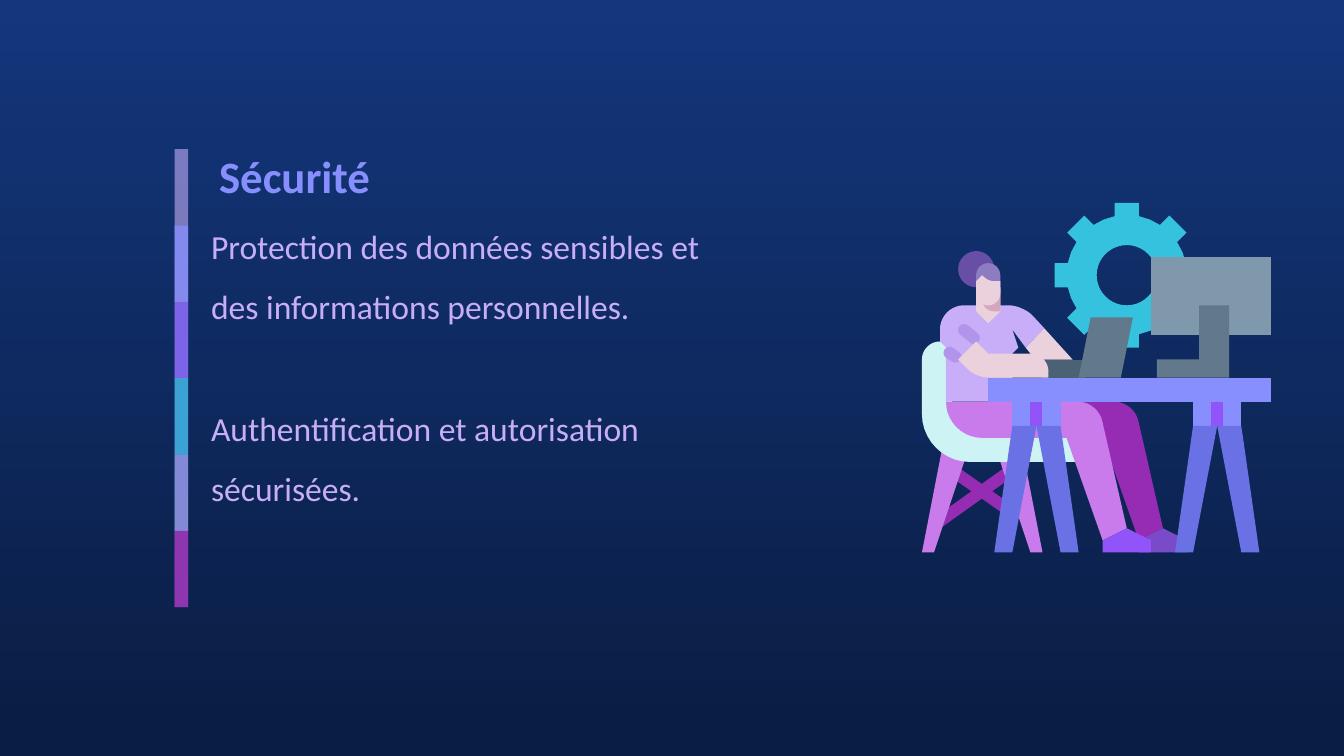
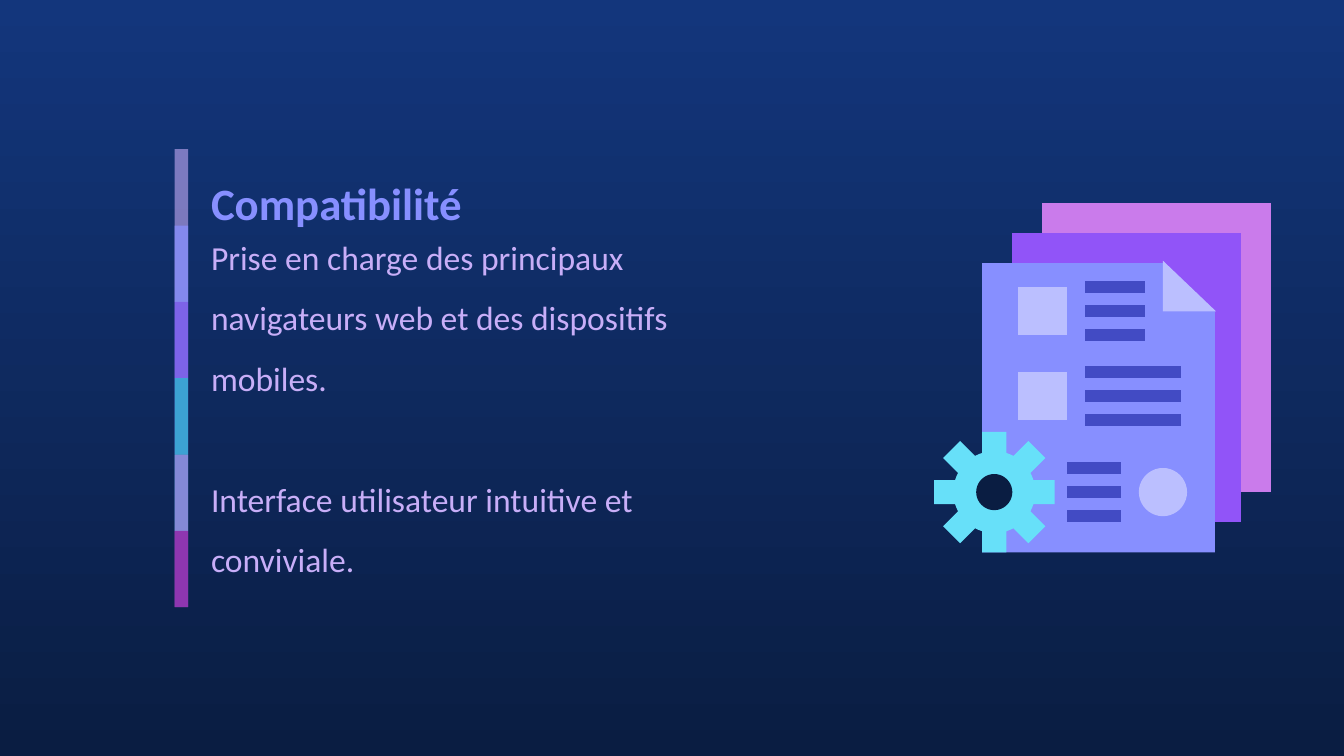
from dataclasses import dataclass
from math import cos, hypot, pi, sin, sqrt
from typing import NamedTuple

from pptx import Presentation
from pptx.dml.color import RGBColor
from pptx.enum.shapes import MSO_SHAPE as SHAPE
from pptx.enum.text import MSO_ANCHOR as ANCHOR, MSO_AUTO_SIZE as AUTO, PP_ALIGN as ALIGN
from pptx.oxml.ns import qn
from pptx.oxml.xmlchemy import OxmlElement
from pptx.util import Inches, Pt

rgb = RGBColor.from_string
NAVY, ROYAL, INDIGO, BLUE = rgb("0A1D42"), rgb("13367C"), rgb("424BC4"), rgb("6971E5")
LILAC, PERIWINKLE, PALE = rgb("C8AEF8"), rgb("878FFF"), rgb("BBBFFF")
VIOLET, PURPLE, ORCHID = rgb("9154F8"), rgb("972CB4"), rgb("CA7BEB")
GRAPE, MAUVE = rgb("794BC8"), rgb("B394EB")
TEAL, CYAN, ICE = rgb("35C2DF"), rgb("67E0F9"), rgb("CEF3F5")
SKIN, SKIN_SHADE, HAIR, HAIR_LIGHT = rgb("EAD1DC"), rgb("D5A6BD"), rgb("674EA7"), rgb("8E7CC3")
SLATE, STEEL, SILVER = rgb("4B6275"), rgb("62798C"), rgb("8098AB")

WIDTH = Inches(10)
HEIGHT = WIDTH * 9 // 16
COL = WIDTH // 100  # the slide is 100 square columns wide
ART_X, ART_Y = 68.6 * COL, 15.1 * COL
CELL = 26 * COL / 29  # an illustration fills 29 by 29 cells
CURVE_STEPS = 10

# Corners in cells; a third number is the distance at which a corner is rounded off.
Outline = list[tuple[float, ...]]


class Box(NamedTuple):
    """Left, top, width and height in slide columns."""
    x: float
    y: float
    w: float
    h: float

    def emu(self) -> list[int]:
        return [round(v * COL) for v in self]


class Part(NamedTuple):
    color: RGBColor
    outline: Outline
    hole: Outline | None = None


class Band(NamedTuple):
    color: RGBColor
    alpha: int
    rows: int = 2


@dataclass
class Topic:
    title: str
    title_box: Box
    title_bottom: float  # inset in inches
    body: list[str]
    body_box: Box
    art: list[Part]


BANDS = [Band(LILAC, 59), Band(PERIWINKLE, 74), Band(VIOLET, 53),
         Band(TEAL, 76), Band(ORCHID, 56), Band(PURPLE, 74, 1)]
BAND_BOX = Box(13, 11.1, 1, 5.68)
TEXT_X, TEXT_W = 14.7, 42.4


def block(x: float, y: float, w: float, h: float, top: float = 0, bottom: float = 0) -> Outline:
    """Rectangle whose top and bottom corners may be rounded."""
    return [(x, y, top), (x, y + h, bottom), (x + w, y + h, bottom), (x + w, y, top)]


def disc(cx: float, cy: float, r: float) -> Outline:
    return block(cx - r, cy - r, 2 * r, 2 * r, r, r)


def stroke(x1: float, y1: float, x2: float, y2: float, r: float, cap: float = 0) -> Outline:
    """Bar of half width r between two points, lengthened by rounded caps."""
    length = hypot(x2 - x1, y2 - y1)
    u, v = (x2 - x1) / length, (y2 - y1) / length
    return [(x + end * cap * u - side * r * v, y + end * cap * v + side * r * u, cap)
            for x, y, end, side in [(x1, y1, -1, 1), (x1, y1, -1, -1),
                                    (x2, y2, 1, -1), (x2, y2, 1, 1)]]


def gear(cx: float, cy: float, tip: float, root: float) -> Outline:
    """Eight teeth, each two cells wide, on a wheel of radius root."""
    points: Outline = []
    foot = sqrt(root ** 2 - 1)
    for i in range(8):
        a = i * pi / 4
        for u, v in [(foot, -1), (tip, -1), (tip, 1), (foot, 1)]:
            points.append((cx + u * cos(a) - v * sin(a), cy + u * sin(a) + v * cos(a)))
        points.append((cx + root * cos(a + pi / 8), cy + root * sin(a + pi / 8)))
    return points


def mirror(points: Outline, axis: float) -> Outline:
    return [(2 * axis - x, y) for x, y in points]


def toward(a: tuple, b: tuple, distance: float) -> tuple[float, float]:
    share = distance / hypot(b[0] - a[0], b[1] - a[1])
    return a[0] + share * (b[0] - a[0]), a[1] + share * (b[1] - a[1])


def flatten(outline: Outline) -> list[tuple[int, int]]:
    """Turn rounded corners into short segments and cells into EMU."""
    points = []
    for i, (x, y, *radius) in enumerate(outline):
        if not any(radius):
            points.append((x, y))
            continue
        corner, r = (x, y), radius[0]
        start = toward(corner, outline[i - 1], r)
        end = toward(corner, outline[(i + 1) % len(outline)], r)
        controls = start, toward(corner, start, 0.45 * r), toward(corner, end, 0.45 * r), end
        for step in range(CURVE_STEPS + 1):
            t = step / CURVE_STEPS
            weights = (1 - t) ** 3, 3 * t * (1 - t) ** 2, 3 * t * t * (1 - t), t ** 3
            points.append(tuple(sum(k * v for k, v in zip(weights, axis))
                                for axis in zip(*controls)))
    return [(round(ART_X + x * CELL), round(ART_Y + y * CELL)) for x, y in points]


def trestle(cx: float) -> list[Part]:
    leg = [(cx - 2, 18.5), (cx - 3.5, 29), (cx - 2, 29), (cx, 18.5)]
    return [Part(PERIWINKLE, block(cx - 2, 16.5, 4, 2)), Part(VIOLET, block(cx - 0.5, 16.5, 1, 2)),
            Part(BLUE, leg), Part(BLUE, mirror(leg, cx))]


def leg_and_shoe(x: float, trousers: RGBColor, shoe: RGBColor) -> list[Part]:
    heel, ankle, toe = x + 13, x + 15, x + 17
    return [Part(trousers, [(x, 16.5), (x, 19.5, 3), (x + 10, 19.5), (heel, 28), (ankle, 27),
                            (x + 12.6, 16.5, 1.6)]),
            Part(shoe, [(ankle, 27), (heel, 28), (heel, 29), (toe, 29), (toe, 28)])]


def text_lines(x: float, y: float, w: float) -> list[Part]:
    return [Part(INDIGO, block(x, y + 2 * i, w, 1)) for i in range(3)]


def office_worker() -> list[Part]:
    stool_leg = [(6, 20), (9, 29), (10, 29), (8.25, 20)]
    armpit, elbow = (8.6, 12), (10.15, 10.4)
    return [
        Part(TEAL, gear(17, 6, 6, 5), disc(17, 6, 2.5)),
        Part(SLATE, block(10, 13, 3.5, 1.5)),
        Part(PURPLE, stroke(2.5, 22.2, 7.2, 25.5, 0.5)),
        Part(PURPLE, stroke(1.15, 26.65, 7.4, 22.2, 0.5)),
        Part(ORCHID, stool_leg),
        Part(ORCHID, mirror(stool_leg, 5)),
        Part(ICE, [(0, 11.5, 1.5), (0, 21.5, 4), (13.5, 21.5), (13.5, 19), (2.5, 19, 2.5),
                   (2.5, 11.5)]),
        *leg_and_shoe(5, PURPLE, GRAPE),
        Part(SKIN, [armpit, (9.4, 13), (12.5, 13), elbow]),
        Part(LILAC, [(1.5, 8.5, 2), (1.5, 11.5), (2, 12), (2, 16.5), (7.5, 16.5), (7.5, 12.5),
                     (8, 12), (7.5, 10.5), armpit, elbow, (8.4, 8.5, 1.2)]),
        Part(PERIWINKLE, block(5.5, 14.5, 23.5, 2)),
        Part(MAUVE, stroke(2.3, 12.45, 2.75, 12.75, 0.5, 0.5)),
        Part(MAUVE, stroke(3.5, 10.55, 4.3, 11.2, 0.5, 0.5)),
        Part(SKIN, [(4.5, 7), (4.5, 9), (5.5, 10), (6.5, 9), (6.5, 7)]),
        Part(SKIN, [(4.5, 11.5), (3, 13), (4.5, 14.5, 1), (10.5, 14.5), (10.5, 12.5, 1.5),
                    (5.5, 12.5)]),
        Part(STEEL, [(14, 9.5), (13, 14.5), (16.5, 14.5), (17.5, 9.5)]),
        *leg_and_shoe(2, ORCHID, VIOLET),
        Part(SILVER, block(19, 4.5, 10, 6.5)),
        Part(STEEL, [(23, 8.5), (23, 13), (19.5, 13), (19.5, 14.5), (25.5, 14.5), (25.5, 8.5)]),
        *trestle(24.5),
        *trestle(9.5),
        Part(SKIN_SHADE, [(5, 7), (5, 9, 1), (6.5, 9), (6.5, 7)]),
        Part(HAIR, disc(4.5, 5.5, 1.5)),
        Part(HAIR_LIGHT, block(4.5, 5, 2, 2, top=1)),
        Part(SKIN, [(5, 6), (4.5, 6.5), (4.5, 8.5, 1), (6.5, 8.5, 1), (6.5, 6.5),
                    (5.5, 6.5, 0.5)]),
    ]


def documents() -> list[Part]:
    back_pages = [Part(color, block(10 - 2.5 * i, 2.5 * i, 19, 24))
                  for i, color in enumerate((ORCHID, VIOLET))]
    return [
        *back_pages,
        Part(PERIWINKLE, [(5, 5), (5, 29), (24.3, 29), (24.3, 9), (20, 5)]),
        Part(CYAN, gear(6, 24, 5, 3.4)),
        Part(NAVY, disc(6, 24, 1.5)),
        *(Part(PALE, block(8, y, 4, 4)) for y in (7, 14)),
        Part(PALE, disc(20, 24, 2)),
        *text_lines(13.5, 6.5, 5),
        *text_lines(13.5, 13.5, 8),
        *text_lines(12, 21.5, 4.5),
        Part(PALE, [(20, 4.8), (20, 9), (24.4, 9)]),
    ]


def draw_art(s, parts: list[Part]) -> None:
    shapes = s.shapes.add_group_shape().shapes
    for part in parts:
        first, *rest = flatten(part.outline)
        builder = shapes.build_freeform(*first)
        builder.add_line_segments(rest, close=True)
        if part.hole:
            first, *rest = flatten(part.hole)
            builder.move_to(*first)
            builder.add_line_segments(rest, close=True)
        paint(builder.convert_to_shape(), part.color)


def paint(sp, color: RGBColor) -> None:
    sp.shadow.inherit = False
    sp.fill.solid()
    sp.fill.fore_color.rgb = color
    sp.line.fill.background()


def draw_bands(s) -> None:
    shapes = s.shapes.add_group_shape().shapes
    x, y, w, h = BAND_BOX
    for i, band in enumerate(BANDS):
        sp = shapes.add_shape(SHAPE.RECTANGLE, *Box(x, y + i * h, w, h * band.rows).emu())
        paint(sp, band.color)
        alpha = OxmlElement("a:alpha")
        alpha.set("val", str(band.alpha * 1000))
        sp._element.spPr.find(f".//{qn('a:srgbClr')}").append(alpha)


def set_all(target, values: dict) -> None:
    for name, value in values.items():
        setattr(target, name, value)


def write(sp, box: Box, texts: list[str], frame: dict, para: dict, font: dict,
          color: RGBColor, gap: float = 0) -> None:
    """Place a placeholder and fill it, with gap points between paragraphs."""
    set_all(sp, dict(zip(("left", "top", "width", "height"), box.emu())))
    tf = sp.text_frame
    margins = {f"margin_{side}": Inches(0.1) for side in ("left", "top", "right", "bottom")}
    set_all(tf, {"word_wrap": True, "auto_size": AUTO.NONE, **margins, **frame})
    for i, text in enumerate(texts):
        p = tf.paragraphs[0] if i == 0 else tf.add_paragraph()
        set_all(p, {"alignment": ALIGN.LEFT, "line_spacing": 1.5,
                    "space_before": Pt(gap if i else 0), **para})
        pPr = p._p.get_or_add_pPr()
        pPr.set("marL", "0")
        pPr.set("indent", "0")
        pPr.append(OxmlElement("a:buNone"))
        r = p.add_run()
        r.text = text
        set_all(r.font, {"name": "Calibri", **font})
        r.font.color.rgb = color


def add_topic(prs, topic: Topic) -> None:
    s = prs.slides.add_slide(prs.slide_layouts[1])
    fill = s.background.fill
    fill.gradient()
    fill.gradient_angle = 270
    for stop, color in zip(fill.gradient_stops, (ROYAL, NAVY)):
        stop.color.rgb = color
    write(s.shapes.title, topic.title_box, [topic.title],
          {"vertical_anchor": ANCHOR.MIDDLE, "margin_bottom": Inches(topic.title_bottom)},
          {"space_after": Pt(8)}, {"size": Pt(24), "bold": True}, PERIWINKLE)
    write(s.placeholders[1], topic.body_box, topic.body, {"vertical_anchor": ANCHOR.TOP},
          {"space_after": Pt(0)}, {"size": Pt(18), "bold": False}, LILAC, gap=32.5)
    draw_art(s, topic.art)
    draw_bands(s)


def main() -> None:
    prs = Presentation()
    set_all(prs, {"slide_width": WIDTH, "slide_height": HEIGHT})
    topics = [
        Topic("Sécurité", Box(15.3, 7.3, TEXT_W, 9.6), 0.1,
              ["Protection des données sensibles et des informations personnelles.",
               "Authentification et autorisation sécurisées."],
              Box(TEXT_X, 14.3, TEXT_W, 33), office_worker()),
        Topic("Compatibilité", Box(TEXT_X, 11.4, TEXT_W, 9.6), 0.52,
              ["Prise en charge des principaux navigateurs web et des dispositifs mobiles.",
               "Interface utilisateur intuitive et conviviale."],
              Box(TEXT_X, 15.1, TEXT_W, 32.2), documents()),
    ]
    for topic in topics:
        add_topic(prs, topic)
    prs.save("out.pptx")


if __name__ == "__main__":
    main()
